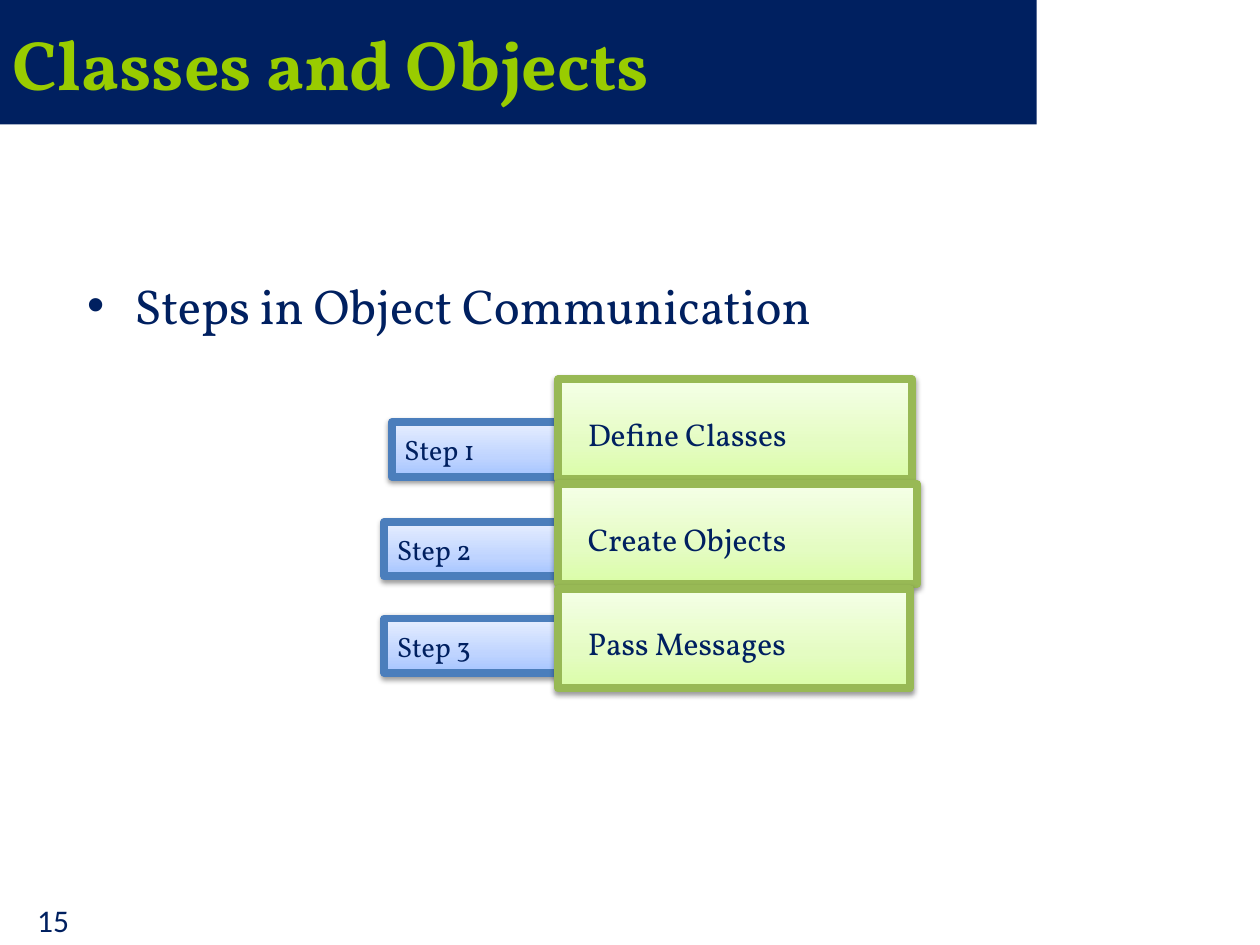
from lxml.etree import SubElement
from pptx import Presentation
from pptx.dml.color import RGBColor
from pptx.enum.shapes import MSO_SHAPE as Shape
from pptx.enum.text import MSO_ANCHOR as Anchor, MSO_AUTO_SIZE as AutoSize, PP_ALIGN as Align
from pptx.oxml.ns import qn
from pptx.util import Cm, Pt

# Content: label, its left and top, action, its width (cm)
TITLE = "Classes and Objects"
BULLET = "Steps in Object Communication"
PAGE_NUMBER = "15"
STEPS = [
    ("Step 1", 7.9, 8.51, "Define Classes", 7.14),
    ("Step 2", 7.75, 10.52, "Create Objects", 7.24),
    ("Step 3", 7.75, 12.47, "Pass Messages", 7.09),
]

# Style
COLORS = {"navy": "002060", "lime": "99CC00", "blue": "4B7EBC", "green": "98B955"}
GRADIENTS = {
    "blue": [(0, "A4C4FF"), (35, "BFD4FF"), (100, "E6EEFF")],
    "green": [(0, "DAFDA7"), (35, "E4FCC2"), (100, "F5FFE7")],
}
LABEL_SIZE = (3.5, 1.1)
ACTION_LEFT, ACTION_TOP, ACTION_HEIGHT, ACTION_PITCH = 11.25, 7.65, 2.01, 2.11


def color(name):
    return RGBColor.from_string(COLORS[name])


def place(shape, left, top, width, height):
    shape.left, shape.top = Cm(left), Cm(top)
    shape.width, shape.height = Cm(width), Cm(height)


def write(shape, text, size, tint="navy", font="Vollkorn", bold=False, **frame_format):
    frame = shape.text_frame
    frame_values = {"word_wrap": True, "auto_size": AutoSize.NONE, **frame_format}
    for name, value in frame_values.items():
        setattr(frame, name, value)
    para = frame.paragraphs[0]
    para.alignment = Align.LEFT
    span = para.add_run()
    span.text = text
    for name, value in {"name": font, "size": Pt(size), "bold": bold}.items():
        setattr(span.font, name, value)
    span.font.color.rgb = color(tint)
    return para


def add_stop(parent, tag, hex_color, alpha=None, **attributes):
    node = SubElement(parent, qn(tag), attributes)
    tint = SubElement(node, qn("a:srgbClr"), val=hex_color)
    if alpha:
        SubElement(tint, qn("a:alpha"), val=str(alpha * 1000))


def add_box(page, theme, *area):
    box = page.shapes.add_shape(Shape.RECTANGLE, *map(Cm, area))
    box.line.color.rgb = color(theme)
    box.line.width = Pt(4.5)
    # Three-stop gradient, darkest at the bottom
    box.fill.gradient()
    properties = box._element.spPr
    gradient = properties.find(qn("a:gradFill"))
    stops = gradient.find(qn("a:gsLst"))
    for stop in list(stops):
        stops.remove(stop)
    for position, hex_color in GRADIENTS[theme]:
        add_stop(stops, "a:gs", hex_color, pos=str(position * 1000))
    gradient.find(qn("a:lin")).set("ang", str(270 * 60000))
    # Soft shadow below
    box.shadow.inherit = False
    add_stop(properties.find(qn("a:effectLst")), "a:outerShdw", "000000", alpha=38,
             blurRad=str(Pt(3.1)), dist=str(Pt(1.6)), dir=str(90 * 60000), rotWithShape="0")
    return box


deck = Presentation()
deck.slide_width, deck.slide_height = Cm(25.4), Cm(19.05)
page = deck.slides.add_slide(deck.slide_layouts[1])

# Title band
title = page.shapes.title
place(title, 0, 0, 20.9, 2.51)
title.fill.solid()
title.fill.fore_color.rgb = color("navy")
write(title, TITLE, 40, "lime", bold=True, vertical_anchor=Anchor.MIDDLE)

# Bullet
body = page.placeholders[1]
place(body, 1.5, 4.32, 22.86, 12.57)
write(body, BULLET, 28, margin_top=Cm(1.23)).space_before = Pt(0)

# Step labels, then the actions over their right ends
for label, left, top, _, _ in STEPS:
    box = add_box(page, "blue", left, top, *LABEL_SIZE)
    write(box, label, 16, vertical_anchor=Anchor.MIDDLE, margin_left=Cm(0.25),
          margin_right=0, margin_top=0, margin_bottom=0)

for row, (_, _, _, action, width) in enumerate(STEPS):
    box = add_box(page, "green", ACTION_LEFT, ACTION_TOP + row * ACTION_PITCH, width, ACTION_HEIGHT)
    para = write(box, action, 18, vertical_anchor=Anchor.TOP, margin_left=Cm(0.6),
                 margin_top=Cm(0.8), margin_right=Cm(0.1), margin_bottom=Cm(0.2))
    para.line_spacing = 0.9

# Page number
number = page.shapes.add_textbox(Cm(0.5), Cm(18.03), Cm(1.6), Cm(1.02))
write(number, PAGE_NUMBER, 18, font="Calibri")

deck.save("out.pptx")
